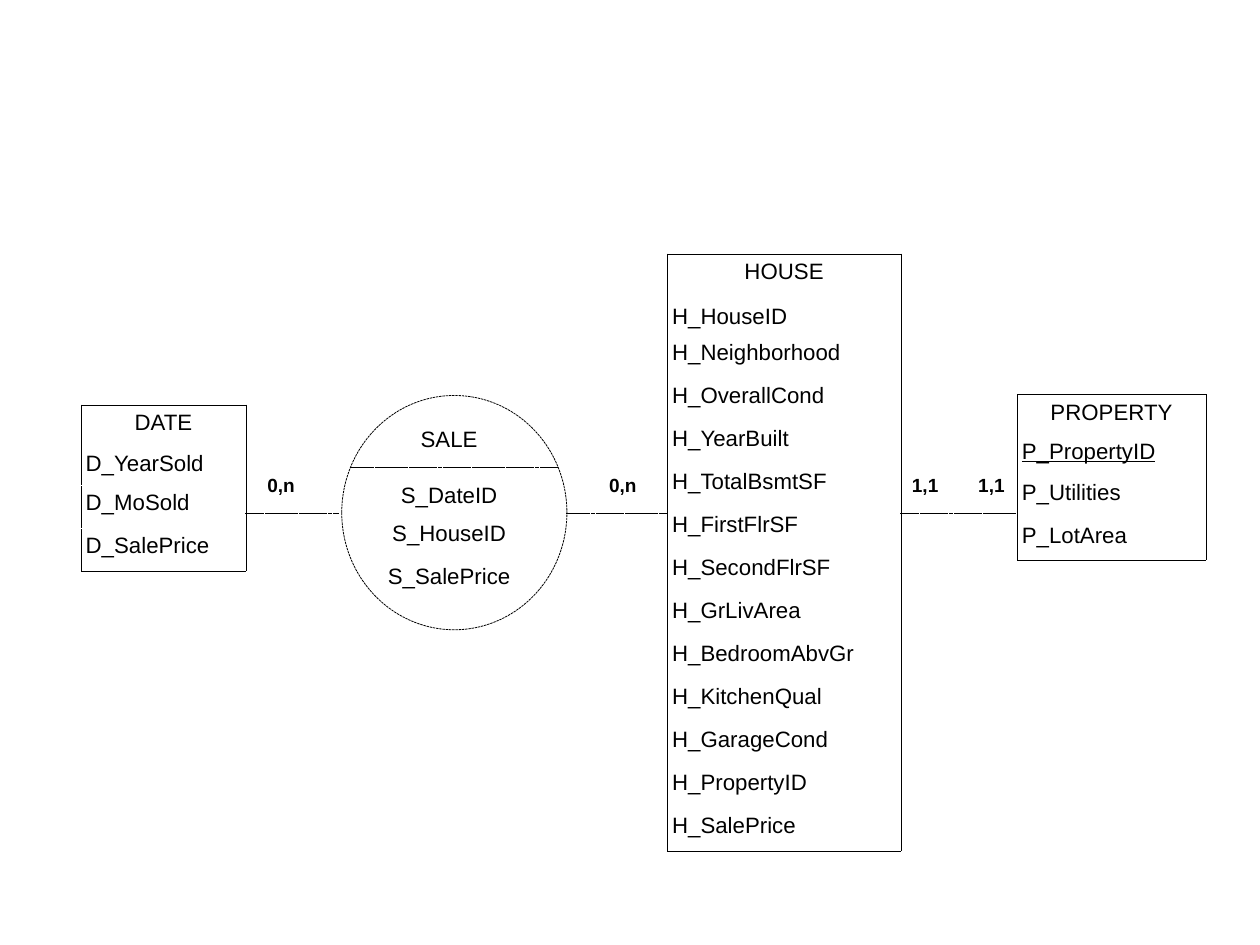
from dataclasses import dataclass
from lxml import etree
from pptx import Presentation, util as u
from pptx.dml.color import RGBColor
from pptx.enum import dml, shapes, text
from pptx.oxml.ns import qn


@dataclass(frozen=True)
class Theme:
    font: str = "Arial"
    ink: RGBColor = RGBColor(0, 0, 0)
    paper: RGBColor = RGBColor(255, 255, 255)
    field_size: int = 14
    label_size: int = 12
    border: float = 0.06


theme = Theme()


def style_text(paragraph, size, bold=False):
    for run in paragraph.runs:
        run.font.name = theme.font
        run.font.size = u.Pt(size)
        run.font.bold = bold
        run.font.color.rgb = theme.ink


def set_border(cell, side, color):
    properties = cell._tc.get_or_add_tcPr()
    line = etree.SubElement(properties, qn(f"a:ln{side}"), w=str(u.Pt(theme.border)))
    if color is None:
        etree.SubElement(line, qn("a:noFill"))
    else:
        fill = etree.SubElement(line, qn("a:solidFill"))
        etree.SubElement(fill, qn("a:srgbClr"), val=str(color))


presentation = Presentation()
presentation.slide_width = u.Cm(28)
presentation.slide_height = u.Cm(21)
slide = presentation.slides.add_slide(presentation.slide_layouts[6])

circle = slide.shapes.add_shape(
    shapes.MSO_SHAPE.OVAL, u.Inches(2.99), u.Inches(3.46), u.Inches(1.97), u.Inches(2.05)
)
circle.shadow.inherit = False
circle.fill.solid()
circle.fill.fore_color.rgb = theme.paper
circle.line.color.rgb = theme.ink
circle.line.width = u.Pt(0.5)
circle.line.dash_style = dml.MSO_LINE.SQUARE_DOT

field_height = 1.13 / 3
entities = [
    ("DATE", 0.71, 3.54, 1.44, [0.36, 0.34],
     ["D_YearSold", "D_MoSold", "D_SalePrice"]),
    ("HOUSE", 5.84, 2.22, 2.04, [0.39, 0.31],
     ["H_HouseID", "H_Neighborhood", "H_OverallCond", "H_YearBuilt", "H_TotalBsmtSF",
      "H_FirstFlrSF", "H_SecondFlrSF", "H_GrLivArea", "H_BedroomAbvGr", "H_KitchenQual",
      "H_GarageCond", "H_PropertyID", "H_SalePrice"]),
    ("PROPERTY", 8.9, 3.45, 1.65, [0.34, 0.36],
     ["P_PropertyID", "P_Utilities", "P_LotArea"]),
    ("SALE", 2.91, 3.69, 2.04, [0.49, 0.33],
     ["S_DateID", "S_HouseID", "S_SalePrice"]),
]

for name, left, top, width, first_heights, fields in entities:
    in_circle = name == "SALE"
    outline = None if in_circle else theme.ink
    separator = theme.paper if name == "DATE" else None
    last = len(fields)
    heights = first_heights + [field_height] * (last - 1)
    table = slide.shapes.add_table(
        len(heights), 1, u.Inches(left), u.Inches(top), u.Inches(width), u.Inches(sum(heights))
    ).table
    table.first_row = False
    table.horz_banding = False
    for index, (height, field) in enumerate(zip(heights, [name] + fields)):
        table.rows[index].height = u.Inches(height)
        cell = table.cell(index, 0)
        cell.margin_left = cell.margin_right = u.Inches(0.04)
        cell.margin_top = cell.margin_bottom = u.Inches(0.05)
        cell.text_frame.text = field
        paragraph = cell.text_frame.paragraphs[0]
        centred = in_circle or index == 0
        paragraph.alignment = text.PP_ALIGN.CENTER if centred else text.PP_ALIGN.LEFT
        style_text(paragraph, theme.field_size)
        paragraph.runs[0].font.underline = field == "P_PropertyID"
        set_border(cell, "L", outline)
        set_border(cell, "R", outline)
        set_border(cell, "T", outline if index == 0 else separator if index > 1 else None)
        set_border(cell, "B", outline if index == last else separator if index > 0 else None)
        if in_circle:
            cell.fill.background()
        else:
            cell.fill.solid()
            cell.fill.fore_color.rgb = theme.paper

for start, end, level in [(3.07, 4.88, 4.09), (2.15, 2.96, 4.49), (4.96, 5.83, 4.49), (7.88, 8.9, 4.49)]:
    connector = slide.shapes.add_connector(
        shapes.MSO_CONNECTOR.STRAIGHT, u.Inches(start), u.Inches(level), u.Inches(end), u.Inches(level)
    )
    connector.line.color.rgb = theme.ink
    connector.line.dash_style = dml.MSO_LINE.SQUARE_DOT
    connector._element.spPr.find(qn("a:ln")).set("w", "0")
    etree.SubElement(connector._element.spPr, qn("a:effectLst"))

for cardinality, left in [("0,n", 2.24), ("0,n", 5.23), ("1,1", 7.88), ("1,1", 8.46)]:
    label = slide.shapes.add_textbox(u.Inches(left), u.Inches(4.09), u.Inches(0.52), u.Inches(0.29))
    label.text_frame.word_wrap = True
    label.text_frame.auto_size = text.MSO_AUTO_SIZE.SHAPE_TO_FIT_TEXT
    label.text_frame.text = cardinality
    style_text(label.text_frame.paragraphs[0], theme.label_size, bold=True)

presentation.save("out.pptx")
